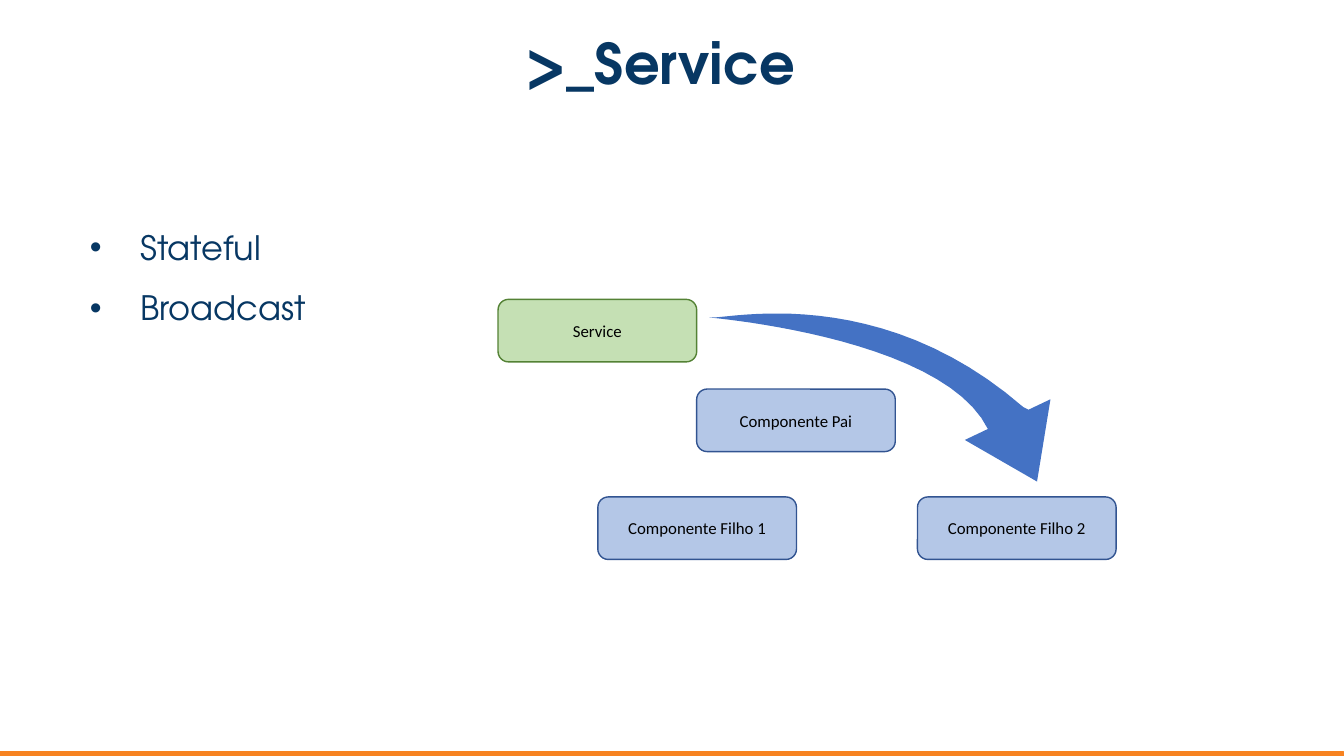
from dataclasses import dataclass

from lxml.etree import SubElement
from pptx import Presentation
from pptx.dml.color import RGBColor
from pptx.enum.shapes import MSO_SHAPE as Preset
from pptx.enum.text import MSO_ANCHOR as Anchor, MSO_AUTO_SIZE as AutoSize, PP_ALIGN as Align
from pptx.oxml.ns import qn
from pptx.shapes.base import BaseShape
from pptx.slide import Slide
from pptx.text.text import TextFrame
from pptx.util import Inches, Pt

Point = tuple[float, float]

NAVY = "073763"
ORANGE = "F78321"
ARROW_BLUE = "4472C4"
HEADING_FONT = "TeX Gyre Adventor"
BOX_WIDTH, BOX_HEIGHT = 1.97, 0.62
CURVE_STEPS = 24


@dataclass(frozen=True)
class Box:
    text: str
    left: float
    top: float
    fill: str = "B4C7E7"
    line: str = "325491"


BOXES = [
    Box("Componente Pai", 6.91, 3.86),
    Box("Componente Filho 2", 9.1, 4.93),
    Box("Componente Filho 1", 5.93, 4.93),
    Box("Service", 4.94, 2.97, "C5E0B4", "548235"),
]

ARROW_START: Point = (7.04, 3.15)
ARROW_CURVES: list[tuple[Point, Point, Point]] = [
    ((7.22, 3.17), (8.71, 2.79), (10.15, 4.04)),
    ((10.51, 4.17), (10.25, 5.2), (9.8, 4.26)),
    ((9.34, 3.31), (6.87, 3.14), ARROW_START),
]


def color(value: str) -> RGBColor:
    return RGBColor.from_string(value)


def place(shape: BaseShape, left: float, top: float, width: float, height: float) -> None:
    shape.left, shape.top = Inches(left), Inches(top)
    shape.width, shape.height = Inches(width), Inches(height)


def paint(shape: BaseShape, fill: str, line: str | None = None, width: float = 1) -> None:
    shape.shadow.inherit = False
    shape.fill.solid()
    shape.fill.fore_color.rgb = color(fill)
    if line is None:
        shape.line.fill.background()
    else:
        shape.line.color.rgb = color(line)
        shape.line.width = Pt(width)


def set_frame(frame: TextFrame, inset: float, anchor: Anchor) -> None:
    frame.word_wrap = True
    frame.auto_size = AutoSize.NONE
    frame.vertical_anchor = anchor
    frame.margin_left = frame.margin_right = Inches(inset)
    frame.margin_top = frame.margin_bottom = Inches(inset)


def set_font(paragraph, name: str, size: float, value: str, bold: bool = False) -> None:
    font = paragraph.font
    font.name, font.size, font.bold = name, Pt(size), bold
    font.color.rgb = color(value)


def add_bullet(paragraph) -> None:
    properties = paragraph._p.get_or_add_pPr()
    properties.set("marL", str(Inches(0.74)))
    properties.set("indent", str(Inches(-0.5)))
    bullet_color = SubElement(properties, qn("a:buClr"))
    SubElement(bullet_color, qn("a:srgbClr"), val=NAVY)
    SubElement(properties, qn("a:buFont"), typeface="Arial")
    SubElement(properties, qn("a:buChar"), char="•")


def add_title(slide: Slide, text: str) -> None:
    title = slide.shapes.title
    place(title, 0.34, 0.33, 12.42, 0.65)
    set_frame(title.text_frame, 0.1, Anchor.MIDDLE)
    paragraph = title.text_frame.paragraphs[0]
    paragraph.text = text
    paragraph.alignment = Align.CENTER
    paragraph.line_spacing = 0.9
    set_font(paragraph, HEADING_FONT, 40, NAVY, bold=True)


def add_list(slide: Slide, items: list[str]) -> None:
    body = slide.placeholders[1]
    place(body, 0.52, 1.92, 3.52, 1.52)
    frame = body.text_frame
    set_frame(frame, 0.13, Anchor.TOP)
    frame.text = "\n".join(items)
    for paragraph in frame.paragraphs:
        add_bullet(paragraph)
        paragraph.line_spacing = 1.5
        paragraph.space_before = Pt(0)
        set_font(paragraph, HEADING_FONT, 24, NAVY)


def add_box(slide: Slide, box: Box) -> None:
    shape = slide.shapes.add_shape(
        Preset.ROUNDED_RECTANGLE,
        Inches(box.left), Inches(box.top), Inches(BOX_WIDTH), Inches(BOX_HEIGHT),
    )
    paint(shape, box.fill, box.line)
    shape.text_frame.vertical_anchor = Anchor.MIDDLE
    paragraph = shape.text_frame.paragraphs[0]
    paragraph.text = box.text
    paragraph.alignment = Align.CENTER
    set_font(paragraph, "Calibri", 12, "000000")


def curve_points(start: Point, first: Point, second: Point, end: Point) -> list[Point]:
    points = []
    for step in range(1, CURVE_STEPS + 1):
        t = step / CURVE_STEPS
        weights = ((1 - t) ** 3, 3 * t * (1 - t) ** 2, 3 * t**2 * (1 - t), t**3)
        controls = zip(weights, (start, first, second, end))
        weighted = [(weight * x, weight * y) for weight, (x, y) in controls]
        points.append((sum(x for x, _ in weighted), sum(y for _, y in weighted)))
    return points


def add_curved_arrow(slide: Slide) -> None:
    outline: list[Point] = [ARROW_START]
    for curve in ARROW_CURVES:
        outline += curve_points(outline[-1], *curve)
    vertices = [(Inches(x), Inches(y)) for x, y in outline]
    builder = slide.shapes.build_freeform(*vertices[0])
    builder.add_line_segments(vertices[1:-1], close=True)
    paint(builder.convert_to_shape(), ARROW_BLUE)

    head = slide.shapes.add_shape(
        Preset.ISOSCELES_TRIANGLE, Inches(9.67), Inches(4.13), Inches(0.94), Inches(0.68)
    )
    head.rotation = 154.6
    paint(head, ARROW_BLUE)


def add_footer_bar(slide: Slide) -> None:
    bar = slide.shapes.add_shape(
        Preset.RECTANGLE, Inches(0), Inches(7.46), Inches(13.33), Inches(0.05)
    )
    paint(bar, ORANGE, ORANGE, 0.75)


def main() -> None:
    presentation = Presentation()
    presentation.slide_width, presentation.slide_height = Inches(13.33), Inches(7.5)
    slide = presentation.slides.add_slide(presentation.slide_layouts[1])
    add_footer_bar(slide)
    add_title(slide, ">_Service")
    add_list(slide, ["Stateful", "Broadcast"])
    for box in BOXES:
        add_box(slide, box)
    add_curved_arrow(slide)
    presentation.save("out.pptx")


if __name__ == "__main__":
    main()
